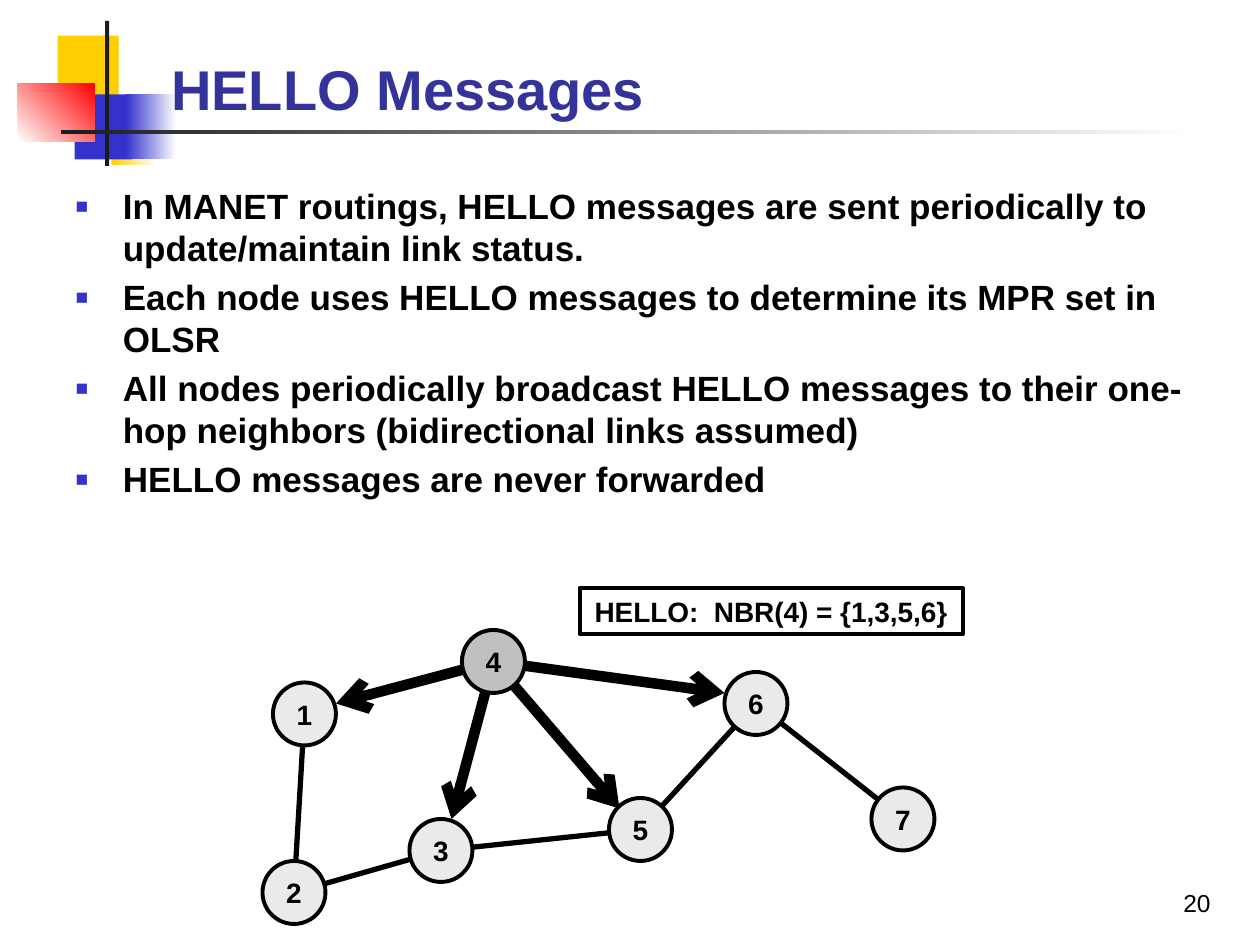
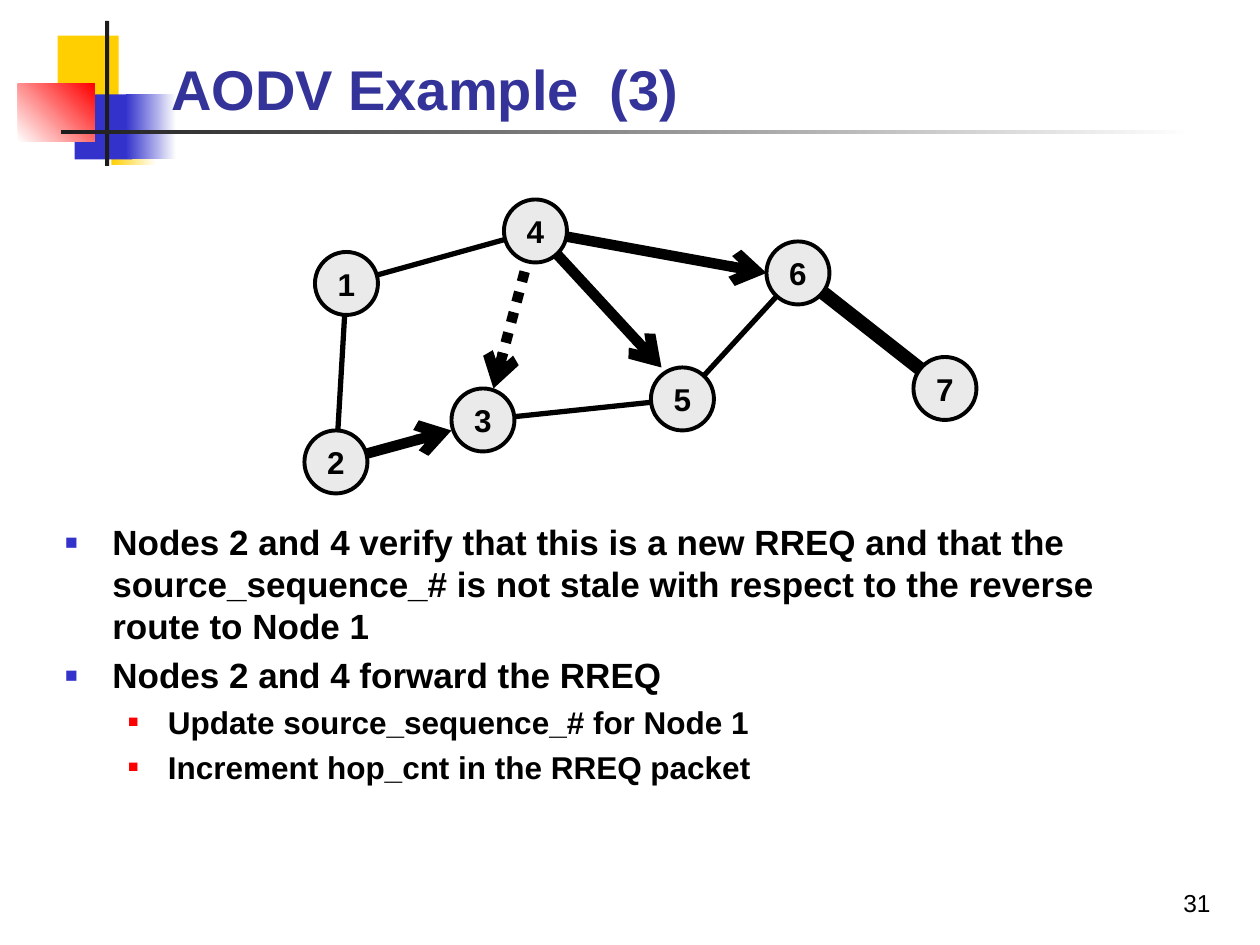
import pptx
import pptx.dml.color
import pptx.enum.dml
import pptx.enum.shapes
import pptx.enum.text
import pptx.oxml.ns
import pptx.util
from lxml import etree

PX = 7620  # 120 px to the inch
FONT = "Arial"
COLORS = {
    "text": "000000", "title": "333399", "white": "FFFFFF", "yellow": "FFCF01",
    "blue": "3333CC", "red": "FF0000", "rule": "1C1C1C",
    "node": "EAEAEA", "sender": "C0C0C0",
}
BANDS = [  # box, start colour, end colour, angle
    ((55, 34, 58, 62), "yellow", None, 0),
    ((106, 95, 43, 62), "yellow", "white", 0),
    ((71, 90, 55, 62), "blue", None, 0),
    ((120, 90, 48, 62), "blue", "white", 0),
    ((17, 80, 73, 55), "white", "red", 45),
    ((100, 20, 4, 138), "rule", None, 0),
    ((58, 124, 1080, 4), "rule", "white", 0),
]
TITLE_BOX = (151, 22, 1022, 100)
PAGE_BOX = (1080, 840, 120, 60)
LEVELS = [  # text size, left margin, hanging indent, bullet colour, bullet percent
    (20, 45, 45, "blue", 60),
    (18, 98, 38, "red", 55),
]
NODE = 60
CENTER = (NODE // 2, NODE // 2)
NODES = {1: (10, 50), 4: (190, 0), 3: (140, 180), 5: (330, 160),
         2: (0, 220), 6: (440, 40), 7: (580, 150)}
THIN, THICK, THICKEST = 3, 6, 8
RECT = pptx.enum.shapes.MSO_SHAPE.RECTANGLE
OVAL = pptx.enum.shapes.MSO_SHAPE.OVAL
CENTERED = pptx.enum.text.PP_ALIGN.CENTER
MIDDLE = pptx.enum.text.MSO_ANCHOR.MIDDLE


def emu(*lengths):
    return [pptx.util.Emu(length * PX) for length in lengths]


def rgb(name):
    return pptx.dml.color.RGBColor.from_string(COLORS[name])


def add_run(paragraph, text, size, bold=True, color="text"):
    run = paragraph.add_run()
    run.text = text
    run.font.name = FONT
    run.font.size = pptx.util.Pt(size)
    run.font.bold = bold
    run.font.color.rgb = rgb(color)


def add_element(parent, tag, **attributes):
    return etree.SubElement(parent, pptx.oxml.ns.qn(tag), attributes)


def add_outlined(slide, preset, box, fill, label, size):
    shape = slide.shapes.add_shape(preset, *emu(*box))
    shape.shadow.inherit = False
    if fill:
        shape.fill.solid()
        shape.fill.fore_color.rgb = rgb(fill)
    else:
        shape.fill.background()
    shape.line.color.rgb = rgb("text")
    shape.line.width = pptx.util.Pt(2.25)
    frame = shape.text_frame
    frame.word_wrap = False
    frame.vertical_anchor = MIDDLE
    frame.paragraphs[0].alignment = CENTERED
    add_run(frame.paragraphs[0], label, size)


def decorate_layout(layout, slide):
    """Draw the bands on the slide, then move them behind the layout's title."""
    layout_title = layout.placeholders[0].element
    for number, (box, start, end, angle) in enumerate(BANDS):
        band = slide.shapes.add_shape(RECT, *emu(*box))
        band.shadow.inherit = False
        band.line.fill.background()
        if end:
            band.fill.gradient()
            band.fill.gradient_angle = angle
            for stop, color, position in zip(band.fill.gradient_stops, (start, end), (0, 1)):
                stop.color.rgb = rgb(color)
                stop.position = position
        else:
            band.fill.solid()
            band.fill.fore_color.rgb = rgb(start)
        band.element.nvSpPr.cNvPr.set("id", str(20 + number))
        layout_title.addprevious(band.element)


def place(placeholder, box):
    placeholder.left, placeholder.top, placeholder.width, placeholder.height = emu(*box)
    frame = placeholder.text_frame
    frame.word_wrap = True
    frame.auto_size = pptx.enum.text.MSO_AUTO_SIZE.NONE
    return frame


def fill_title(slide, text):
    frame = place(slide.shapes.title, TITLE_BOX)
    frame.vertical_anchor = pptx.enum.text.MSO_ANCHOR.BOTTOM
    frame.paragraphs[0].alignment = pptx.enum.text.PP_ALIGN.LEFT
    add_run(frame.paragraphs[0], text, 32, color="title")


def fill_bullets(slide, box, items):
    frame = place(slide.placeholders[1], box)
    for index, (level, text) in enumerate(items):
        size, margin, hanging, color, percent = LEVELS[level]
        paragraph = frame.add_paragraph() if index else frame.paragraphs[0]
        paragraph.level = level
        paragraph.space_before = pptx.util.Pt(4 if index else 0)
        properties = paragraph._p.get_or_add_pPr()
        properties.set("marL", str(margin * PX))
        properties.set("indent", str(-hanging * PX))
        bullet_color = add_element(properties, "a:buClr")
        add_element(bullet_color, "a:srgbClr", val=COLORS[color])
        add_element(properties, "a:buSzPct", val=str(percent * 1000))
        add_element(properties, "a:buFont", typeface=FONT)
        add_element(properties, "a:buChar", char="■")
        add_run(paragraph, text, size)


def add_page_number(slide, number):
    frame = slide.shapes.add_textbox(*emu(*PAGE_BOX)).text_frame
    frame.word_wrap = True
    frame.paragraphs[0].alignment = CENTERED
    add_run(frame.paragraphs[0], str(number), 14, bold=False)


def add_link(slide, origin, source, target, width=THIN, tip=None, dotted=False):
    """Join two node centres, or end in an arrow at tip, measured from the target's corner."""
    ends = [origin[axis] + NODES[node][axis] + offset[axis]
            for node, offset in ((source, CENTER), (target, tip or CENTER))
            for axis in (0, 1)]
    link = slide.shapes.add_connector(pptx.enum.shapes.MSO_CONNECTOR.STRAIGHT, *emu(*ends))
    link.line.color.rgb = rgb("text")
    link.line.width = pptx.util.Pt(width)
    if dotted:
        link.line.dash_style = pptx.enum.dml.MSO_LINE.ROUND_DOT
    if tip:
        add_element(link.line._get_or_add_ln(), "a:tailEnd", type="arrow")
    add_element(link.element.spPr, "a:effectLst")


def add_network(slide, origin, links, label_size, sender=None):
    for link in links:
        add_link(slide, origin, **link)
    for node, (x, y) in NODES.items():
        box = (origin[0] + x, origin[1] + y, NODE, NODE)
        fill = "sender" if node == sender else "node"
        add_outlined(slide, OVAL, box, fill, str(node), label_size)


def add_content_slide(deck, title, bullet_box, bullets, page):
    slide = deck.slides.add_slide(deck.slide_layouts[1])
    fill_title(slide, title)
    fill_bullets(slide, bullet_box, bullets)
    add_page_number(slide, page)
    return slide


def build_hello(deck):
    slide = add_content_slide(deck, "HELLO Messages", (60, 170, 1090, 680), [
        (0, "In MANET routings, HELLO messages are sent periodically to update/maintain link status."),
        (0, "Each node uses HELLO messages to determine its MPR set in OLSR"),
        (0, "All nodes periodically broadcast HELLO messages to their one-hop neighbors "
            "(bidirectional links assumed)"),
        (0, "HELLO messages are never forwarded"),
    ], 20)
    add_network(slide, (250, 600), [
        dict(source=6, target=7),
        dict(source=1, target=2),
        dict(source=4, target=5, width=THICK, tip=(10, 10)),
        dict(source=2, target=3),
        dict(source=4, target=1, width=THICK, tip=(60, 20)),
        dict(source=4, target=3, width=THICK, tip=(40, 0)),
        dict(source=3, target=5),
        dict(source=4, target=6, width=THICK, tip=(0, 20)),
        dict(source=6, target=5),
    ], 16, sender=4)
    add_outlined(slide, RECT, (552, 560, 365, 44), None, "HELLO:  NBR(4) = {1,3,5,6}", 16)
    return slide


def build_aodv(deck):
    slide = add_content_slide(deck, "AODV Example  (3)", (50, 490, 1090, 320), [
        (0, "Nodes 2 and 4 verify that this is a new RREQ and that the source_sequence_# "
            "is not stale with respect to the reverse route to Node 1"),
        (0, "Nodes 2 and 4 forward the RREQ"),
        (1, "Update source_sequence_# for Node 1"),
        (1, "Increment hop_cnt in the RREQ packet"),
    ], 31)
    add_network(slide, (290, 190), [
        dict(source=1, target=2),
        dict(source=4, target=5, width=THICK, tip=(10, 0)),
        dict(source=2, target=3, width=THICK, tip=(0, 40)),
        dict(source=1, target=4),
        dict(source=4, target=3, width=THICK, tip=(40, 0), dotted=True),
        dict(source=3, target=5),
        dict(source=4, target=6, width=THICK, tip=(0, 30)),
        dict(source=6, target=7, width=THICKEST),
        dict(source=6, target=5),
    ], 18)


def main():
    deck = pptx.Presentation()
    deck.slide_width, deck.slide_height = emu(1200, 900)
    hello = build_hello(deck)
    decorate_layout(hello.slide_layout, hello)
    build_aodv(deck)
    deck.save("out.pptx")


if __name__ == "__main__":
    main()
